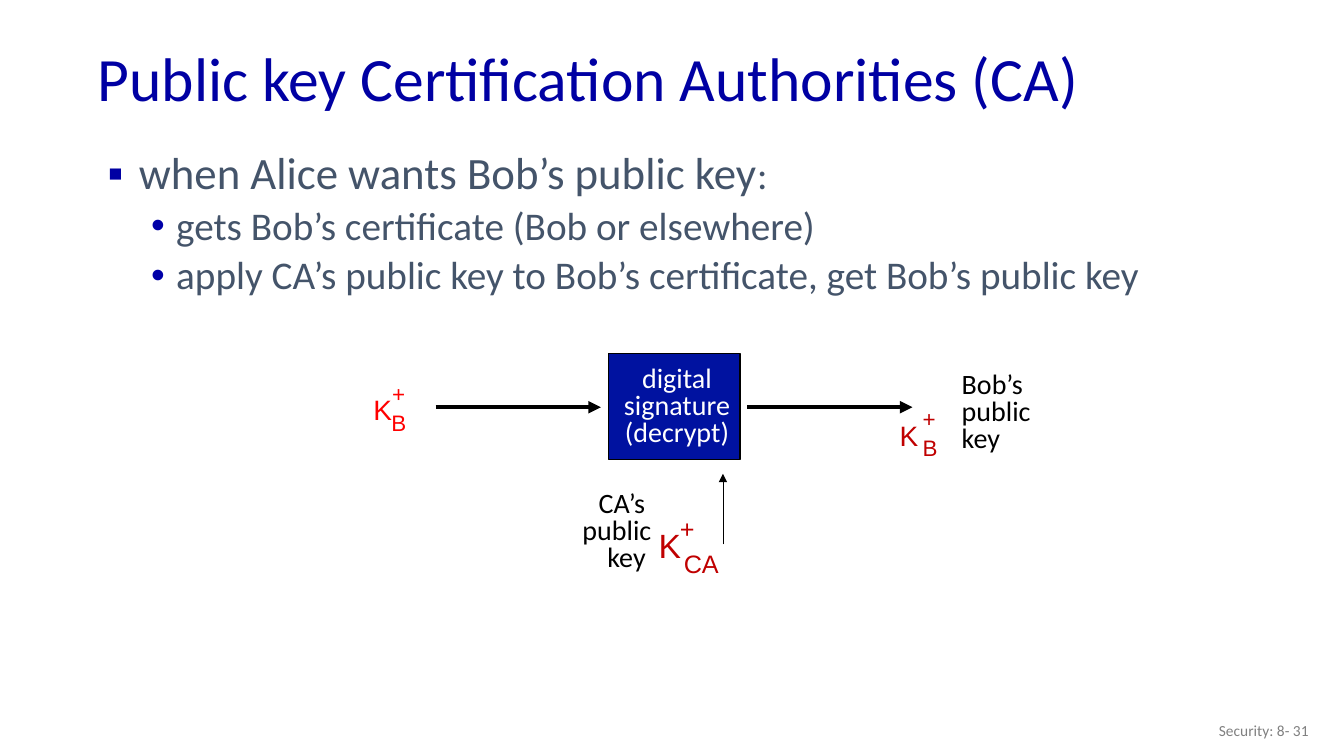
from lxml import etree
from pptx import Presentation
from pptx.dml.color import RGBColor
from pptx.enum.shapes import MSO_CONNECTOR, MSO_SHAPE
from pptx.enum.text import MSO_ANCHOR, MSO_AUTO_SIZE, PP_ALIGN
from pptx.oxml.ns import qn
from pptx.util import Inches, Pt

LEFT, CENTER, RIGHT = PP_ALIGN.LEFT, PP_ALIGN.CENTER, PP_ALIGN.RIGHT
color = RGBColor.from_string


def write(shape, paragraphs, hex_color, font="Calibri", align=LEFT, spacing=1.0,
          anchor=MSO_ANCHOR.TOP, wrap=True):
    """Fill a shape with paragraphs, each a list of (text, size) runs."""
    frame = shape.text_frame
    frame.auto_size = MSO_AUTO_SIZE.NONE
    frame.word_wrap = wrap
    frame.vertical_anchor = anchor
    for index, runs in enumerate(paragraphs):
        paragraph = frame.add_paragraph() if index else frame.paragraphs[0]
        paragraph.alignment = align
        paragraph.line_spacing = spacing
        for text, size in runs:
            run = paragraph.add_run()
            run.text = text
            run.font.size = Pt(size)
            run.font.name = font
            run.font.color.rgb = color(hex_color)


def add_text(left, top, width, height, *content, **style):
    box = slide.shapes.add_textbox(Inches(left), Inches(top), Inches(width), Inches(height))
    write(box, *content, **style)
    return box


presentation = Presentation()
presentation.slide_width = Inches(13.33)
presentation.slide_height = Inches(7.5)
slide = presentation.slides.add_slide(presentation.slide_layouts[5])

# Title
title = slide.shapes.title
title.left, title.top = Inches(0.87), Inches(0.32)
title.width, title.height = Inches(11.5), Inches(0.98)
write(title, [[("Public key Certification Authorities (CA)", 44)]], "0000A3",
      spacing=0.9, anchor=MSO_ANCHOR.MIDDLE)

# Bulleted steps
steps = add_text(0.89, 1.45, 12.24, 1.8, [
    [("when Alice wants Bob’s public key", 32), (":", 28)],
    [("gets Bob’s certificate (Bob or elsewhere)", 28)],
    [("apply CA’s public key to Bob’s certificate, get Bob’s public key", 28)],
], "44546A", spacing=0.9)
main_bullet = (0, 0.39, -0.31, "▪", "0000A3", 0)
sub_bullet = (1, 0.76, -0.25, "•", "0000A8", 5)
bullets = [main_bullet, sub_bullet, sub_bullet]
for paragraph, bullet in zip(steps.text_frame.paragraphs, bullets):
    level, margin, indent, character, hex_color, space_before = bullet
    properties = paragraph._p.get_or_add_pPr()
    properties.set("marL", str(Inches(margin)))
    properties.set("indent", str(Inches(indent)))
    bullet_color = etree.SubElement(properties, qn("a:buClr"))
    etree.SubElement(bullet_color, qn("a:srgbClr"), val=hex_color)
    etree.SubElement(properties, qn("a:buFont"), typeface="Arial")
    etree.SubElement(properties, qn("a:buChar"), char=character)
    paragraph.level = level
    paragraph.space_before = Pt(space_before)

# Decryption box
decrypt_box = slide.shapes.add_shape(
    MSO_SHAPE.RECTANGLE, Inches(6.04), Inches(3.51), Inches(1.3), Inches(1.05))
decrypt_box.shadow.inherit = False
decrypt_box.fill.solid()
decrypt_box.fill.fore_color.rgb = color("0012A0")
decrypt_box.line.color.rgb = color("000000")
decrypt_box.line.width = Pt(0.75)
add_text(6.08, 3.59, 1.27, 0.92,
         [[("digital", 20)], [("signature", 20)], [("(decrypt)", 20)]],
         "FFFFFF", align=CENTER, spacing=0.8, wrap=False)

# Key captions
add_text(9.44, 3.65, 1.05, 0.92, [[("Bob’s", 20)], [("public", 20)], [("key", 20)]],
         "000000", spacing=0.8)
add_text(5.51, 4.83, 1.05, 0.92,
         [[("CA’s ", 20)], [("public", 20)], [("key", 20), (" ", 18)]],
         "000000", align=RIGHT, spacing=0.8)

# Key symbols: letter, subscript and superscript, each as (text, size, box)
bob_key_in = [("K ", 20, (3.6, 3.84, 0.47, 0.44)),
              ("B", 16, (3.78, 4.01, 0.35, 0.37)),
              ("+", 16, (3.79, 3.72, 0.33, 0.37))]
bob_key_out = [("K ", 20, (8.82, 4.1, 0.47, 0.44)),
               ("B", 16, (9.05, 4.26, 0.35, 0.37)),
               ("+", 16, (9.05, 3.97, 0.33, 0.37))]
ca_key = [("K ", 24, (6.43, 5.16, 0.52, 0.51)),
          ("CA", 18, (6.68, 5.39, 0.55, 0.4)),
          ("+", 18, (6.64, 5.04, 0.35, 0.4))]
for symbol, hex_color in [(bob_key_in, "FF0000"), (bob_key_out, "C00000"), (ca_key, "C00000")]:
    for text, size, box in symbol:
        add_text(*box, [[(text, size)]], hex_color, font="Arial", align=CENTER, wrap=False)

# Arrows into and out of the box
for x1, y1, x2, y2, width in [(4.32, 4.04, 5.96, 4.04, 3),
                              (7.41, 4.04, 9.05, 4.04, 3),
                              (7.17, 5.4, 7.17, 4.7, 0.5)]:
    arrow = slide.shapes.add_connector(
        MSO_CONNECTOR.STRAIGHT, Inches(x1), Inches(y1), Inches(x2), Inches(y2))
    arrow.line.color.rgb = color("000000")
    arrow.line.width = Pt(width)
    etree.SubElement(arrow.line._get_or_add_ln(), qn("a:tailEnd"), type="triangle")
    etree.SubElement(arrow._element.spPr, qn("a:effectLst"))

# Page label
add_text(10.08, 7.05, 3, 0.4, [[("Security: 8- 31", 11)]], "808080",
         align=RIGHT, anchor=MSO_ANCHOR.MIDDLE)

presentation.save("out.pptx")
